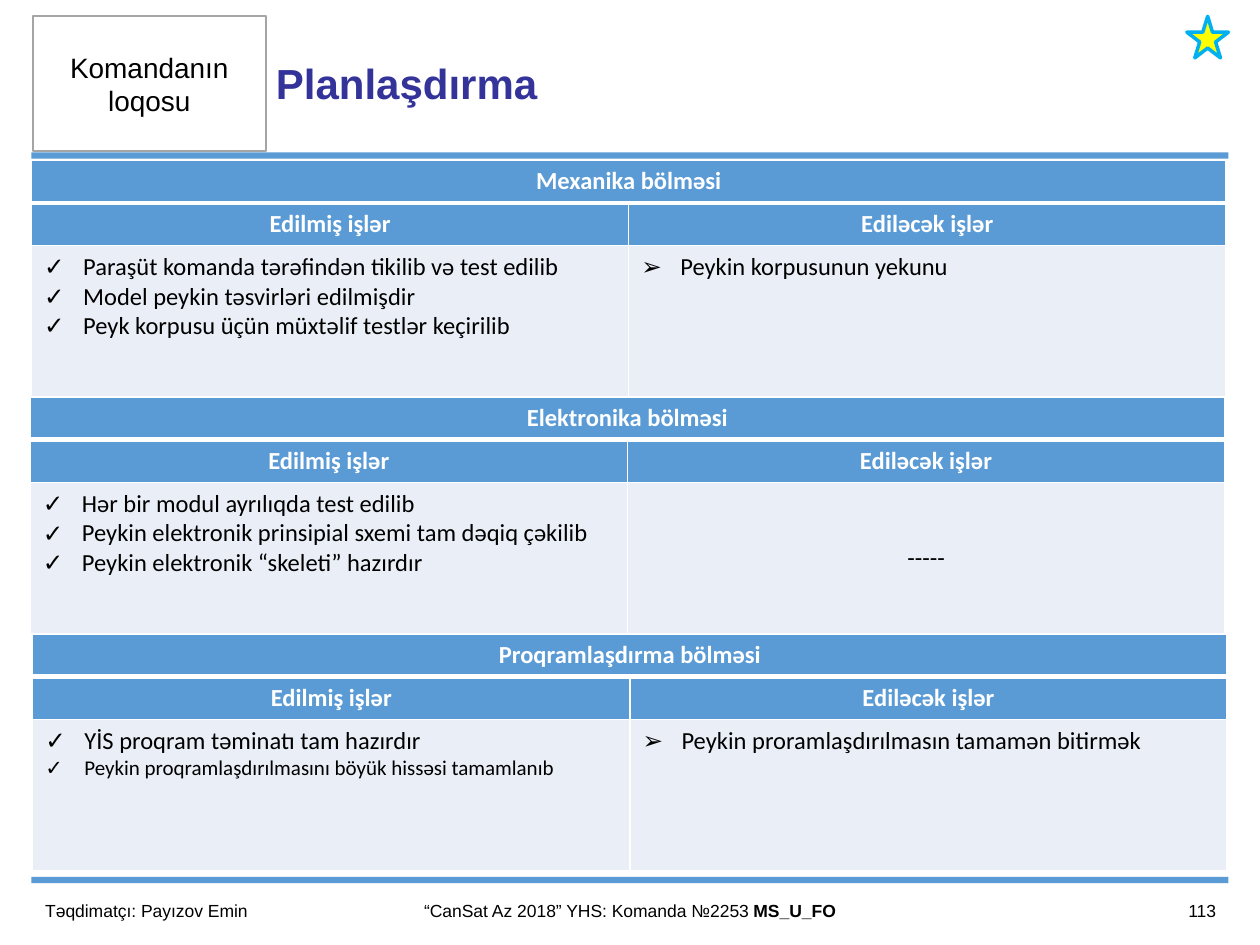
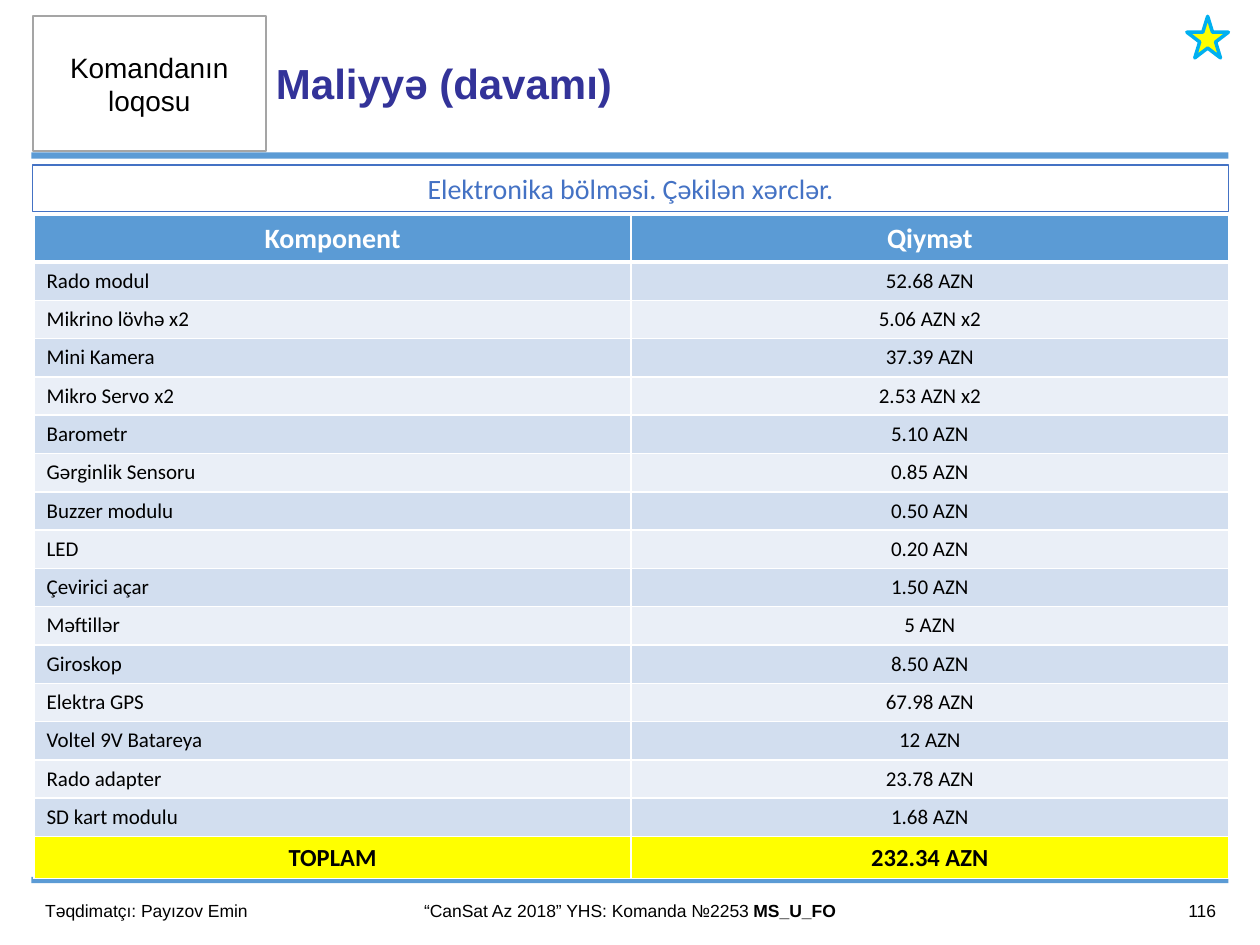
from lxml import etree
from pptx import Presentation, util as u
from pptx.dml.color import RGBColor
from pptx.enum import shapes, text
from pptx.oxml.ns import qn

COLORS = {
    "band": "5B9BD5", "title": "333399", "ink": "000000", "white": "FFFFFF",
    "gray": "A5A5A5", "star": "FFFF00", "cyan": "00B0F0", "note": "4472C4",
    "light": "EAEFF7", "mid": "D2DEEF",
}
LEFT, MID = text.PP_ALIGN.LEFT, text.PP_ALIGN.CENTER
RIGHT = text.PP_ALIGN.RIGHT
COL = 4.74  # width of each table column
DONE, TODO = "✓", "➢"

SECTIONS = [
    ("Mexanika bölməsi", 0.25,
     [("Paraşüt komanda tərəfindən tikilib və test edilib", 14),
      ("Model peykin təsvirləri edilmişdir", 14),
      ("Peyk korpusu üçün müxtəlif testlər keçirilib", 14)],
     "Peykin korpusunun yekunu"),
    ("Elektronika bölməsi", 0.24,
     [("Hər bir modul ayrılıqda test edilib", 14),
      ("Peykin elektronik prinsipial sxemi tam dəqiq çəkilib", 14),
      ("Peykin elektronik “skeleti” hazırdır", 14)],
     None),
    ("Proqramlaşdırma bölməsi", 0.26,
     [("YİS proqram təminatı tam hazırdır", 14),
      ("Peykin proqramlaşdırılmasını böyük hissəsi tamamlanıb", 12)],
     "Peykin proramlaşdırılmasın tamamən bitirmək"),
]
COSTS = [
    ("Rado modul", "52.68 AZN"), ("Mikrino lövhə x2", "5.06 AZN x2"),
    ("Mini Kamera", "37.39 AZN"), ("Mikro Servo x2", "2.53 AZN x2"),
    ("Barometr", "5.10 AZN"), ("Gərginlik Sensoru", "0.85 AZN"),
    ("Buzzer modulu", "0.50 AZN"), ("LED", "0.20 AZN"),
    ("Çevirici açar", "1.50 AZN"), ("Məftillər", "5 AZN"),
    ("Giroskop", "8.50 AZN"), ("Elektra GPS", "67.98 AZN"),
    ("Voltel 9V Batareya", "12 AZN"), ("Rado adapter", "23.78 AZN"),
    ("SD kart modulu", "1.68 AZN"),
]


def rgb(name):
    return RGBColor.from_string(COLORS[name])


def style(para, size, color="ink", bold=False, align=LEFT, face="Arial"):
    para.alignment = align
    font = para.font
    font.name, font.size, font.bold = face, u.Pt(size), bold
    font.color.rgb = rgb(color)


def shape(slide, kind, box, fill=None, line=None, width=1):
    item = slide.shapes.add_shape(kind, *map(u.Inches, box))
    item.shadow.inherit = False
    if fill:
        item.fill.solid()
        item.fill.fore_color.rgb = rgb(fill)
    else:
        item.fill.background()
    if line:
        item.line.color.rgb = rgb(line)
        item.line.width = u.Pt(width)
    else:
        item.line.fill.background()
    return item


def write(item, words, size, **look):
    frame = item.text_frame
    frame.word_wrap = True
    frame.vertical_anchor = text.MSO_ANCHOR.MIDDLE
    para = frame.paragraphs[0]
    para.add_run().text = words
    style(para, size, **look)
    return frame


def label(slide, box, words, size, **look):
    item = slide.shapes.add_textbox(*map(u.Inches, box))
    return write(item, words, size, **look)


def page(deck, title, number):
    """Add a slide with the shared header, bands and footer."""
    slide = deck.slides.add_slide(deck.slide_layouts[6])
    rect = shapes.MSO_SHAPE.RECTANGLE
    for top in (1.21, 6.96):
        shape(slide, rect, (0.25, top, 9.5, 0.05), "band")
    logo = shape(slide, rect, (0.26, 0.13, 1.85, 1.07), "white", "gray")
    write(logo, "Komandanın loqosu", 16, align=MID)
    head = label(slide, (2.12, 0.13, 6, 1.06), title, 24,
                 color="title", bold=True)
    head.margin_left = head.margin_right = u.Inches(0.07)
    head.margin_top = head.margin_bottom = u.Inches(0.04)
    shape(slide, shapes.MSO_SHAPE.STAR_5_POINT, (9.42, 0.13, 0.33, 0.33),
          "star", "cyan", 2)
    # Footer
    label(slide, (8.75, 7.03, 1, 0.4), str(number), 10, align=RIGHT)
    label(slide, (0.26, 7.03, 2.39, 0.4), "Təqdimatçı: Payızov Emin", 10)
    foot = label(slide, (2.65, 7.03, 4.7, 0.4),
                 "“CanSat Az 2018” YHS: Komanda №2253 ", 10, align=MID)
    team = foot.paragraphs[0].add_run()
    team.text = "MS_U_FO"
    team.font.bold = True
    return slide


def border(cell, side, width):
    props = cell._tc.get_or_add_tcPr()
    line = etree.SubElement(props, qn("a:" + side), w=str(u.Pt(width)))
    fill = etree.SubElement(line, qn("a:solidFill"))
    etree.SubElement(fill, qn("a:srgbClr"), val=COLORS["white"])


def grid(slide, left, top, rows):
    """Add a two-column table with white rules, thick under the first row."""
    box = map(u.Inches, (left, top, 2 * COL, sum(rows)))
    table = slide.shapes.add_table(len(rows), 2, *box).table
    for col in table.columns:
        col.width = u.Inches(COL)
    for i, high in enumerate(rows):
        table.rows[i].height = u.Inches(high)
        for cell in table.rows[i].cells:
            border(cell, "lnL", 1)
            border(cell, "lnR", 1)
            border(cell, "lnT", 3 if i == 1 else 1)
            border(cell, "lnB", 3 if i == 0 else 1)
    return table


def paint(cell, fill):
    cell.fill.solid()
    cell.fill.fore_color.rgb = rgb(fill)


def put(cell, words, fill, size, **look):
    paint(cell, fill)
    cell.vertical_anchor = text.MSO_ANCHOR.MIDDLE
    para = cell.text_frame.paragraphs[0]
    para.add_run().text = words
    style(para, size, face="Calibri", **look)


def bullets(cell, mark, items):
    paint(cell, "light")
    frame = cell.text_frame
    for i, (words, size) in enumerate(items):
        para = frame.add_paragraph() if i else frame.paragraphs[0]
        props = para._p.get_or_add_pPr()
        props.set("marL", str(u.Inches(0.31)))
        props.set("indent", str(-u.Inches(0.31)))
        etree.SubElement(props, qn("a:buFont"), typeface="Arial")
        etree.SubElement(props, qn("a:buChar"), char=mark)
        para.add_run().text = words
        style(para, size, face="Calibri")


def section(slide, top, name, left, done, todo):
    table = grid(slide, left, top, (0.34, 0.34, 1.2))
    look = dict(color="white", bold=True, align=MID)
    paint(table.cell(0, 1), "band")
    table.cell(0, 0).merge(table.cell(0, 1))
    put(table.cell(0, 0), name, "band", 14, **look)
    for j, words in enumerate(("Edilmiş işlər", "Ediləcək işlər")):
        put(table.cell(1, j), words, "band", 14, **look)
    bullets(table.cell(2, 0), DONE, done)
    if todo:
        bullets(table.cell(2, 1), TODO, [(todo, 14)])
    else:
        put(table.cell(2, 1), "-----", "light", 14, align=MID)


def costs(slide):
    last = len(COSTS) + 1
    high = 4.56 / len(COSTS)
    table = grid(slide, 0.27, 1.71, [0.37] + [high] * len(COSTS) + [0.33])
    for j, words in enumerate(("Komponent", "Qiymət")):
        put(table.cell(0, j), words, "band", 16,
            color="white", bold=True, align=MID)
    for i, (part, price) in enumerate(COSTS, 1):
        fill = "mid" if i % 2 else "light"
        put(table.cell(i, 0), part, fill, 12)
        put(table.cell(i, 1), price, fill, 12, align=MID)
    for j, words in enumerate(("TOPLAM", "232.34 AZN")):
        put(table.cell(last, j), words, "star", 14, bold=True, align=MID)


def main():
    deck = Presentation()
    deck.slide_width, deck.slide_height = u.Inches(10), u.Inches(7.5)

    # Planning: three stacked sections
    plan = page(deck, "Planlaşdırma", 113)
    for i, (name, left, done, todo) in enumerate(SECTIONS):
        section(plan, 1.27 + 1.88 * i, name, left, done, todo)

    # Budget: cost table under a framed caption
    budget = page(deck, "Maliyyə (davamı)", 116)
    costs(budget)
    note = shape(budget, shapes.MSO_SHAPE.RECTANGLE,
                 (0.26, 1.31, 9.49, 0.37), None, "note", 0.75)
    write(note, "Elektronika bölməsi. Çəkilən xərclər.", 16,
          color="note", align=MID, face="Calibri")

    deck.save("out.pptx")


if __name__ == "__main__":
    main()
